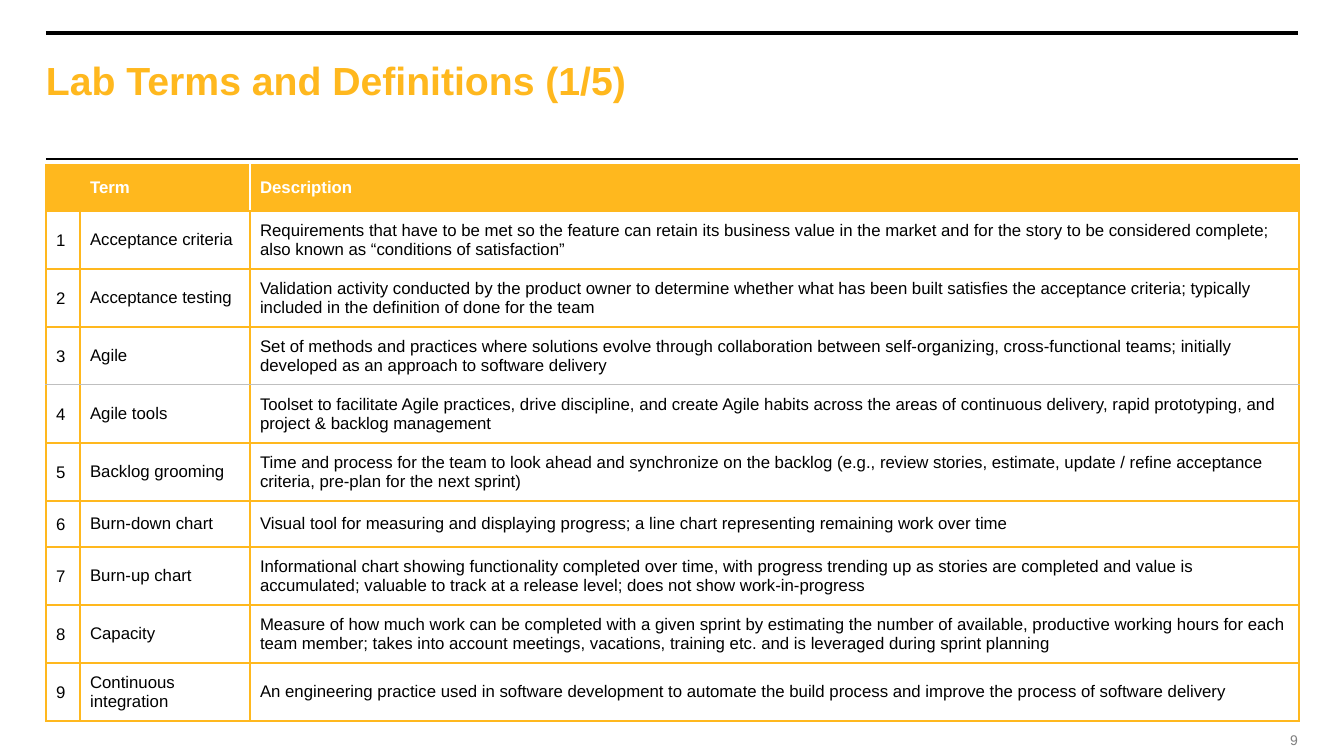
import pptx
import pptx.dml.color
import pptx.enum.shapes
import pptx.enum.text
import pptx.oxml
import pptx.oxml.ns
import pptx.util

AMBER = pptx.dml.color.RGBColor(0xFF, 0xB8, 0x1E)
BLACK = pptx.dml.color.RGBColor(0, 0, 0)
WHITE = pptx.dml.color.RGBColor(0xFF, 0xFF, 0xFF)
GREY = pptx.dml.color.RGBColor(0x7F, 0x7F, 0x7F)
SILVER = pptx.dml.color.RGBColor(0xBF, 0xBF, 0xBF)
FONT = "Arial"
PX_PER_INCH = 100.8
COLUMNS = (34, 170, 1049)
SHORT_ROW, TALL_ROW = 46, 58
SHORT_ROWS = (0, 6)
THIN_RULE_BELOW = 3

TERMS = [
    ("Acceptance criteria",
     "Requirements that have to be met so the feature can retain its business value in the market "
     "and for the story to be considered complete; also known as “conditions of satisfaction”"),
    ("Acceptance testing",
     "Validation activity conducted by the product owner to determine whether what has been built "
     "satisfies the acceptance criteria; typically included in the definition of done for the team"),
    ("Agile",
     "Set of methods and practices where solutions evolve through collaboration between "
     "self-organizing, cross-functional teams; initially developed as an approach to software delivery"),
    ("Agile tools",
     "Toolset to facilitate Agile practices, drive discipline, and create Agile habits across the "
     "areas of continuous delivery, rapid prototyping, and project & backlog management"),
    ("Backlog grooming",
     "Time and process for the team to look ahead and synchronize on the backlog (e.g., review "
     "stories, estimate, update / refine acceptance criteria, pre-plan for the next sprint)"),
    ("Burn-down chart",
     "Visual tool for measuring and displaying progress; a line chart representing remaining work "
     "over time"),
    ("Burn-up chart",
     "Informational chart showing functionality completed over time, with progress trending up as "
     "stories are completed and value is accumulated; valuable to track at a release level; does "
     "not show work-in-progress"),
    ("Capacity",
     "Measure of how much work can be completed with a given sprint by estimating the number of "
     "available, productive working hours for each team member; takes into account meetings, "
     "vacations, training etc. and is leveraged during sprint planning"),
    ("Continuous integration",
     "An engineering practice used in software development to automate the build process and "
     "improve the process of software delivery"),
]


def px(n):
    """Turn whole px into EMU."""
    return pptx.util.Emu(round(n * 914400 / PX_PER_INCH))


def add_run(p, text, size, color, bold=False):
    """Add one formatted run to a paragraph."""
    r = p.add_run()
    r.text = text
    r.font.name = FONT
    r.font.size = pptx.util.Pt(size)
    r.font.bold = bold
    r.font.color.rgb = color


def clear_insets(tf):
    """Remove the inner margins of a text frame."""
    tf.margin_left = tf.margin_right = tf.margin_top = tf.margin_bottom = 0


def add_rule(slide, x, y, w, weight):
    """Draw a horizontal black rule."""
    line = slide.shapes.add_connector(
        pptx.enum.shapes.MSO_CONNECTOR.STRAIGHT, px(x), px(y), px(x + w), px(y))
    line.line.color.rgb = BLACK
    line.line.width = pptx.util.Pt(weight)
    pptx.oxml.ns.qn("a:effectLst")
    line._element.spPr.append(pptx.oxml.parse_xml(
        f"<a:effectLst {pptx.oxml.ns.nsdecls('a')}/>"))


def add_header(slide, x, y, w, h):
    """Place the title between its two rules."""
    add_rule(slide, x, y, w, 2.5)
    add_rule(slide, x, y + h, w, 1)
    title = slide.shapes.title
    title.left, title.top, title.width, title.height = px(x), px(y + 23), px(1090), px(47)
    tf = title.text_frame
    clear_insets(tf)
    tf.word_wrap = True
    tf.auto_size = pptx.enum.text.MSO_AUTO_SIZE.NONE
    tf.vertical_anchor = pptx.enum.text.MSO_ANCHOR.TOP
    p = tf.paragraphs[0]
    p.alignment = pptx.enum.text.PP_ALIGN.LEFT
    add_run(p, "Lab Terms and Definitions (1/5)", 28, AMBER, True)


def set_border(cell, side, color, weight=1.5):
    """Set the border of one cell side (L, R, T or B)."""
    cell._tc.get_or_add_tcPr().append(pptx.oxml.parse_xml(
        f'<a:ln{side} {pptx.oxml.ns.nsdecls("a")} w="{pptx.util.Pt(weight)}">'
        f'<a:solidFill><a:srgbClr val="{color}"/></a:solidFill></a:ln{side}>'))


def format_cell(cell, i, j):
    """Give a cell its borders, fill and anchor."""
    white_sides = {(0, 1): "R", (0, 2): "L"}.get((i, j), "")
    thin_side = {THIN_RULE_BELOW: "B", THIN_RULE_BELOW + 1: "T"}.get(i, "")
    for side in "LRTB":
        if side == thin_side:
            set_border(cell, side, SILVER, 0.75)
        else:
            set_border(cell, side, WHITE if side in white_sides else AMBER)
    cell.fill.solid()
    cell.fill.fore_color.rgb = WHITE if i else AMBER
    cell.vertical_anchor = pptx.enum.text.MSO_ANCHOR.MIDDLE


def add_terms_table(slide, x, y):
    """Place the table of numbered terms with its corner at x, y."""
    rows = [("", "Term", "Description")]
    rows += [(str(n), *term) for n, term in enumerate(TERMS, 1)]
    heights = [SHORT_ROW if i in SHORT_ROWS else TALL_ROW for i in range(len(rows))]
    table = slide.shapes.add_table(
        len(rows), len(COLUMNS), px(x), px(y), px(sum(COLUMNS)), px(sum(heights))).table
    table.horz_banding = False
    for column, width in zip(table.columns, COLUMNS):
        column.width = px(width)
    for i, texts in enumerate(rows):
        table.rows[i].height = px(heights[i])
        for j, text in enumerate(texts):
            cell = table.cell(i, j)
            format_cell(cell, i, j)
            p = cell.text_frame.paragraphs[0]
            if text:
                add_run(p, text, 12, BLACK if i else WHITE, i == 0)
            if i and j == 0:
                p.line_spacing = 1.07
                p.space_after = pptx.util.Pt(2)


def add_page_number(slide, x, y, w, h):
    """Place the page number, right aligned in its box."""
    tf = slide.shapes.add_textbox(px(x), px(y), px(w), px(h)).text_frame
    clear_insets(tf)
    tf.word_wrap = False
    tf.vertical_anchor = pptx.enum.text.MSO_ANCHOR.MIDDLE
    p = tf.paragraphs[0]
    p.alignment = pptx.enum.text.PP_ALIGN.RIGHT
    add_run(p, "9", 10, GREY)


def main():
    """Build the slide and save it."""
    prs = pptx.Presentation()
    prs.slide_width, prs.slide_height = px(1344), px(756)
    slide = prs.slides.add_slide(prs.slide_layouts[5])
    add_header(slide, 46, 33, 1252, 126)
    add_terms_table(slide, 46, 165)
    add_page_number(slide, 1281, 731, 17, 17)
    prs.save("out.pptx")


if __name__ == "__main__":
    main()
